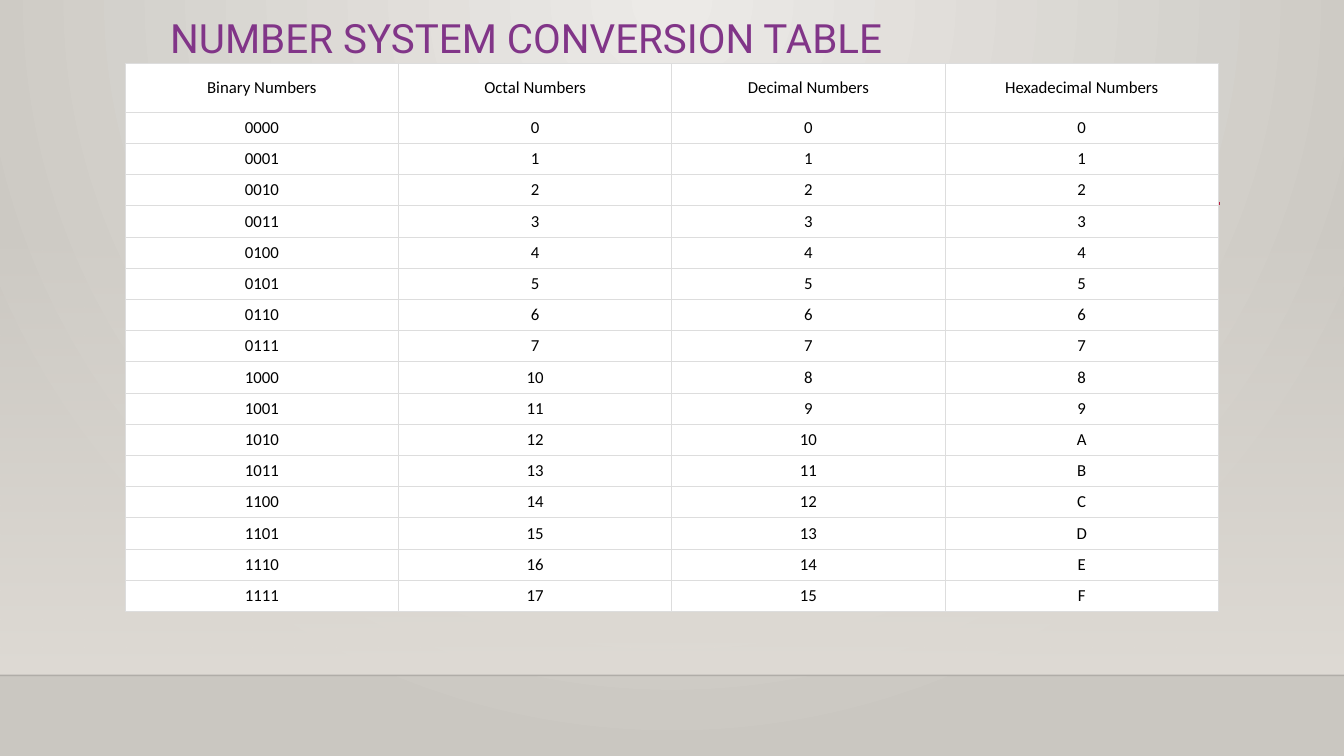
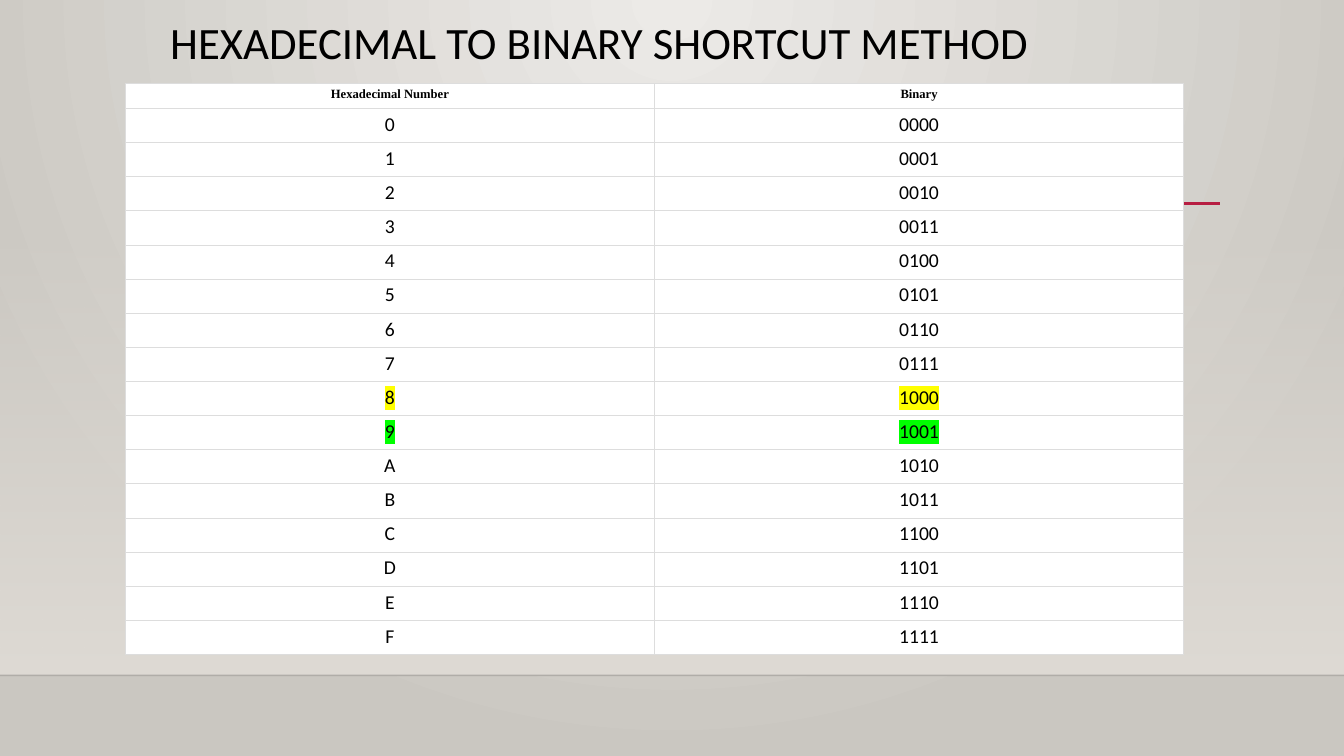
from lxml.etree import SubElement
from pptx import Presentation
from pptx.dml.color import RGBColor as RGB
from pptx.enum.shapes import MSO_CONNECTOR as LINK, MSO_SHAPE as SHAPE
from pptx.enum.text import MSO_ANCHOR as ANCHOR, PP_ALIGN as ALIGN
from pptx.oxml.ns import qn
from pptx.util import Pt

BLACK = RGB(0, 0, 0)
WHITE = RGB(255, 255, 255)
PLUM = RGB(0x81, 0x35, 0x88)
RED = RGB(0xB7, 0x1E, 0x42)
PALE = RGB(0xEC, 0xEA, 0xE7)
STONE = RGB(0xCA, 0xC7, 0xC1)
SAND = RGB(0xDF, 0xDB, 0xD5)
GREY = RGB(0xDD, 0xDD, 0xDD)
YELLOW = RGB(255, 255, 0)
GREEN = RGB(0, 255, 0)

WIDE, HIGH = 960, 540
FLOOR = 482.4  # line where wall and floor meet
RULES = [
    # left, right, y, colour, weight, opacity
    (0, WIDE, FLOOR, BLACK, 1, 20),
    (114.5, 871.2, 145.4, RED, 2.5, 100),
]


def add_run(para, text, font, size, color, bold=False):
    """Add one styled run to a paragraph and return it."""
    run = para.add_run()
    run.text = text
    run.font.name = font
    run.font.size = Pt(size)
    run.font.bold = bold
    run.font.color.rgb = color
    return run


def set_alpha(node, share):
    """Set the opacity, in percent, of the first colour below a node."""
    color = next(node.iter(qn("a:srgbClr")))
    SubElement(color, qn("a:alpha"), val=str(share * 1000))


# Each column: heading and number format
PAGES = [
    dict(title="NUMBER SYSTEM CONVERSION TABLE", face=("Roboto", 28.8, PLUM),
         top=10.1, tall=39.6,
         cols=[("Binary Numbers", "04b"), ("Octal Numbers", "o"),
               ("Decimal Numbers", "d"), ("Hexadecimal Numbers", "X")],
         grid=(45.4, 780.8, 34.8, 22.3), pad=(5, 3.6), anchor=ANCHOR.MIDDLE,
         head=("Calibri", 12, BLACK), body=("Calibri", 12, BLACK), marks={}),
    dict(title="HEXADECIMAL TO BINARY SHORTCUT METHOD",
         face=("Calibri", 32, BLACK), top=11.5, tall=65.5,
         cols=[("Hexadecimal Number", "X"), ("Binary", "04b")],
         grid=(59.6, 756, 17.9, 24.4), pad=(3, 3), anchor=ANCHOR.TOP,
         head=("Times New Roman", 9, BLACK, True),
         body=("Calibri", 14, BLACK), marks={8: YELLOW, 9: GREEN}),
]

deck = Presentation()
deck.slide_width, deck.slide_height = Pt(WIDE), Pt(HIGH)

for page in PAGES:
    slide = deck.slides.add_slide(deck.slide_layouts[6])
    shapes = slide.shapes

    # Backdrop: round glow from the top, wall and rules
    fill = slide.background.fill
    fill.gradient()
    for stop, color in zip(fill.gradient_stops, (PALE, STONE)):
        stop.color.rgb = color
    grad = next(slide.element.iter(qn("a:gradFill")))
    grad.remove(grad.find(qn("a:lin")))
    glow = SubElement(grad, qn("a:path"), path="circle")
    SubElement(glow, qn("a:fillToRect"), l="43000", t="0", r="43000", b="100000")

    wall = shapes.add_shape(SHAPE.RECTANGLE, 0, Pt(159.1), Pt(WIDE), Pt(FLOOR - 159.1))
    wall.shadow.inherit = False
    wall.line.fill.background()
    wall.fill.gradient()
    wall.fill.gradient_angle = 270
    for stop in wall.fill.gradient_stops:
        stop.color.rgb = SAND
    set_alpha(wall.element, 0)

    for left, right, y, color, weight, share in RULES:
        rule = shapes.add_connector(LINK.STRAIGHT, Pt(left), Pt(y), Pt(right), Pt(y))
        rule.line.width = Pt(weight)
        rule.line.color.rgb = color
        set_alpha(rule.element, share)
        SubElement(rule.element.spPr, qn("a:effectLst"))

    # Title
    box = shapes.add_textbox(Pt(114.5), Pt(page["top"]), Pt(756), Pt(page["tall"]))
    box.text_frame.word_wrap = True
    para = box.text_frame.paragraphs[0]
    para.line_spacing = 0.9
    add_run(para, page["title"], *page["face"])

    # Table: a heading row, then the numbers 0 to 15
    cols = page["cols"]
    top, width, first, step = page["grid"]
    frame = shapes.add_table(17, len(cols), Pt(89.5), Pt(top),
                             Pt(width), Pt(first + 16 * step))
    table = frame.table
    for col in table.columns:
        col.width = Pt(width / len(cols))
    for i, row in enumerate(table.rows):
        row.height = Pt(step if i else first)
        for cell, (head, form) in zip(row.cells, cols):
            cell.margin_left = cell.margin_right = Pt(page["pad"][0])
            cell.margin_top = cell.margin_bottom = Pt(page["pad"][1])
            cell.vertical_anchor = page["anchor"]
            props = cell._tc.get_or_add_tcPr()
            for side in "LRTB":
                edge = SubElement(props, qn("a:ln" + side), w=str(Pt(0.75)))
                paint = SubElement(edge, qn("a:solidFill"))
                SubElement(paint, qn("a:srgbClr"), val=str(GREY))
            cell.fill.solid()
            cell.fill.fore_color.rgb = WHITE
            para = cell.text_frame.paragraphs[0]
            para.alignment = ALIGN.CENTER
            text = format(i - 1, form) if i else head
            run = add_run(para, text, *page["body" if i else "head"])
            if i - 1 in page["marks"]:
                style = run.font._element
                mark = SubElement(style, qn("a:highlight"))
                SubElement(mark, qn("a:srgbClr"), val=str(page["marks"][i - 1]))
                style.find(qn("a:solidFill")).addnext(mark)

deck.save("out.pptx")
